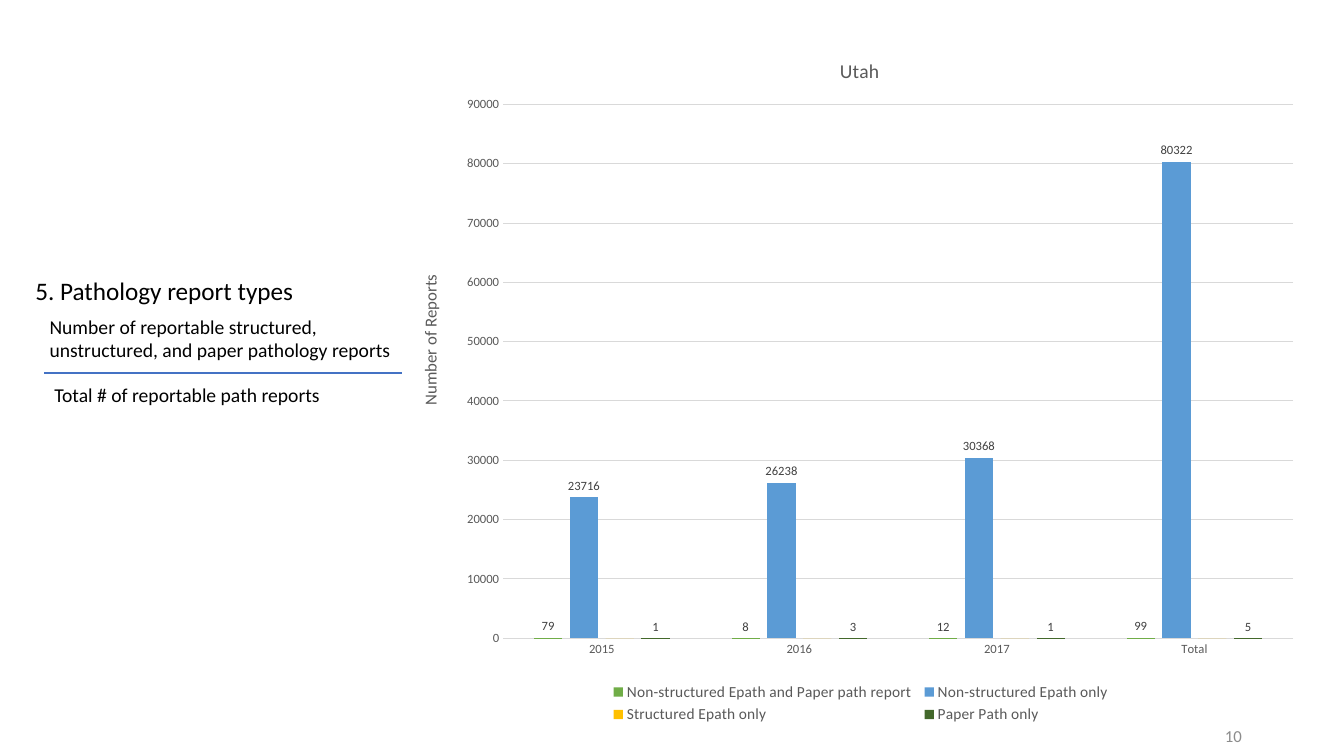
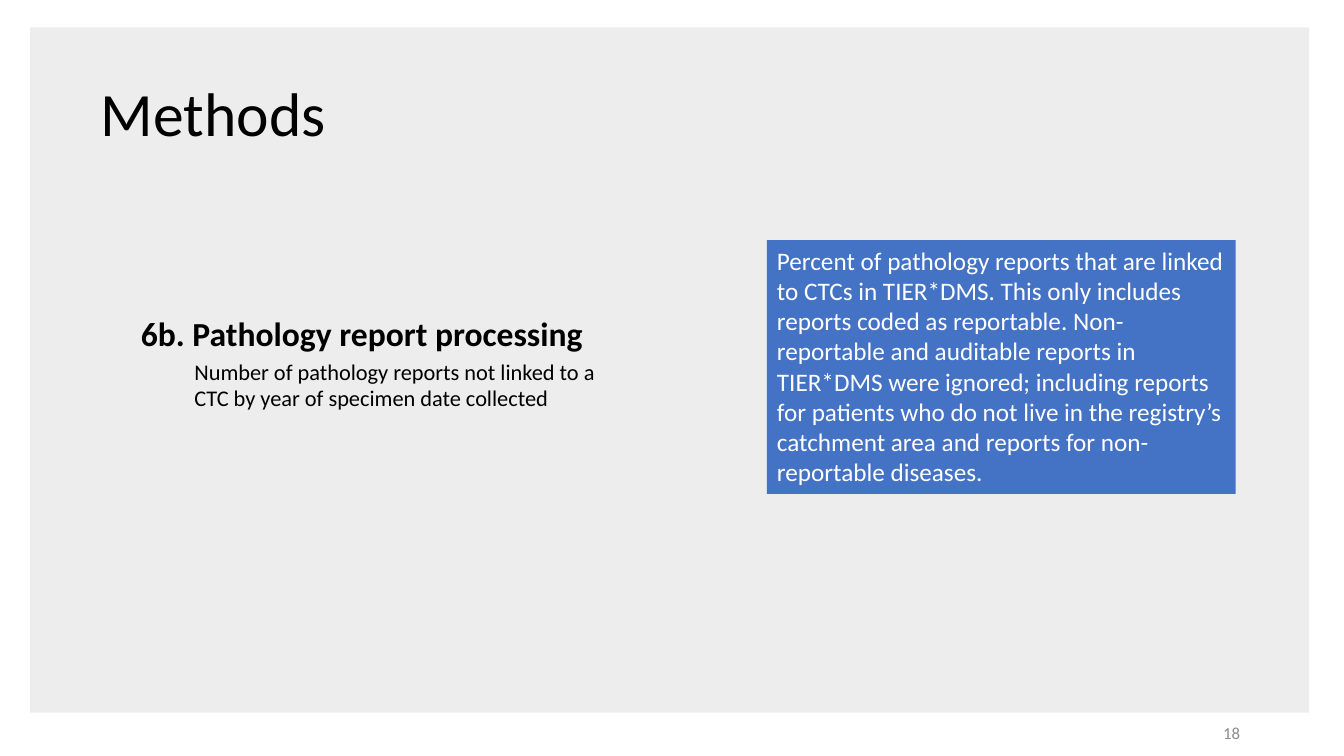
from dataclasses import dataclass

from pptx import Presentation
from pptx.chart.data import CategoryChartData
from pptx.dml.color import RGBColor
from pptx.enum.chart import (XL_CHART_TYPE, XL_LABEL_POSITION,
                             XL_LEGEND_POSITION, XL_TICK_MARK)
from pptx.enum.shapes import MSO_CONNECTOR, MSO_SHAPE
from pptx.enum.text import MSO_ANCHOR, PP_ALIGN
from pptx.oxml import parse_xml
from pptx.oxml.ns import nsdecls, qn
from pptx.oxml.xmlchemy import OxmlElement
from pptx.util import Cm, Pt

CLUSTERED = XL_CHART_TYPE.COLUMN_CLUSTERED
ABOVE_BAR = XL_LABEL_POSITION.OUTSIDE_END
AT_BOTTOM = XL_LEGEND_POSITION.BOTTOM
NO_TICK = XL_TICK_MARK.NONE
STRAIGHT = MSO_CONNECTOR.STRAIGHT
RECTANGLE = MSO_SHAPE.RECTANGLE
TOP, MIDDLE = MSO_ANCHOR.TOP, MSO_ANCHOR.MIDDLE
LEFT, RIGHT = PP_ALIGN.LEFT, PP_ALIGN.RIGHT


@dataclass(frozen=True)
class Theme:
    """Colours, type sizes and font shared by the slides."""
    font: str = "Calibri"
    ink: str = "000000"
    paper: str = "FFFFFF"
    panel: str = "EDEDED"
    accent: str = "4472C4"
    muted: str = "8C8C8C"
    axis_ink: str = "595959"
    label_ink: str = "404040"
    grid: str = "D9D9D9"
    title: int = 44
    topic: int = 24
    heading: int = 18
    detail: int = 16
    body: int = 14
    footer: int = 12
    legend: int = 11
    tick: int = 9


THEME = Theme()
NUMBER_FORMAT = "0"
YEARS = ("2015", "2016", "2017", "Total")
# name, colour, values, whether the values are labelled
REPORT_TYPES = (
    ("Non-structured Epath and Paper path report", "70AD47",
     (79, 8, 12, 99), True),
    ("Non-structured Epath only", "5B9BD5",
     (23716, 26238, 30368, 80322), True),
    ("Structured Epath only", "FFC000", (0, 0, 0, 0), False),
    ("Paper Path only", "43682B", (1, 3, 1, 5), True),
)
LINKAGE_NOTE = (
    "Percent of pathology reports that are linked to CTCs in TIER*DMS. "
    "This only includes reports coded as reportable. Non-reportable and "
    "auditable reports in TIER*DMS were ignored; including reports for "
    "patients who do not live in the registry\u2019s catchment area and "
    "reports for non-reportable diseases.")


def style_font(font, size, color, bold=False):
    """Give a font the theme face and the stated size, colour and weight."""
    for attribute, value in {"name": THEME.font, "size": Pt(size),
                             "bold": bold}.items():
        setattr(font, attribute, value)
    font.color.rgb = RGBColor.from_string(color)


def write(shape, text, size, color=THEME.ink, bold=False, anchor=TOP,
          align=LEFT, spacing=1.0):
    """Fill a shape with one wrapped paragraph."""
    frame = shape.text_frame
    frame.word_wrap = True
    frame.vertical_anchor = anchor
    paragraph = frame.paragraphs[0]
    paragraph.alignment = align
    paragraph.line_spacing = spacing
    run = paragraph.add_run()
    run.text = text
    style_font(run.font, size, color, bold)


def add_text(slide, box, text, size, **style):
    """Place a text box; box is left, top, width, height in cm."""
    write(slide.shapes.add_textbox(*map(Cm, box)), text, size, **style)


def add_block(slide, box, fill):
    """Place a flat, borderless rectangle."""
    block = slide.shapes.add_shape(RECTANGLE, *map(Cm, box))
    block.shadow.inherit = False
    block.fill.solid()
    block.fill.fore_color.rgb = RGBColor.from_string(fill)
    block.line.fill.background()
    return block


def add_rule(slide, left, top, width):
    """Draw the fraction line between numerator and denominator."""
    rule = slide.shapes.add_connector(
        STRAIGHT, Cm(left), Cm(top), Cm(left + width), Cm(top))
    rule.line.color.rgb = RGBColor.from_string(THEME.accent)
    rule.line.width = Pt(1.5)
    rule.element.spPr.append(OxmlElement("a:effectLst"))


def add_page_number(slide, number, left, top):
    """Place the page number at the lower right."""
    add_text(slide, (left, top, 7.62, 1.02), number, THEME.footer,
             color=THEME.muted, anchor=MIDDLE, align=RIGHT)


def place_part(part, after, **fractions):
    """Fix a chart part's place as fractions of the chart's size."""
    for old in part.findall(qn("c:layout")):
        part.remove(old)
    modes = "".join(f'<c:{axis}Mode val="edge"/>' for axis in "xy")
    sizes = "".join(f'<c:{key} val="{value}"/>'
                    for key, value in fractions.items())
    inner = "" if after else '<c:layoutTarget val="inner"/>'
    layout = parse_xml(f'<c:layout {nsdecls("c")}><c:manualLayout>{inner}'
                       f'{modes}{sizes}</c:manualLayout></c:layout>')
    if after:
        part.find(qn(after)).addnext(layout)
    else:
        part.insert(0, layout)


def title_part(part, text, size):
    """Write the title of a chart or an axis."""
    frame = part.text_frame
    frame.text = text
    style_font(frame.paragraphs[0].runs[0].font, size, THEME.axis_ink)


def style_axes(chart):
    """Format the category and value axes."""
    years, reports = chart.category_axis, chart.value_axis
    for axis in (years, reports):
        axis.major_tick_mark = axis.minor_tick_mark = NO_TICK
        style_font(axis.tick_labels.font, THEME.tick, THEME.axis_ink)
    for line in (years.format.line, reports.major_gridlines.format.line):
        line.color.rgb = RGBColor.from_string(THEME.grid)
        line.width = Pt(0.75)
    reports.format.line.fill.background()
    for attribute, value in {"minimum_scale": 0, "maximum_scale": 90000,
                             "major_unit": 10000}.items():
        setattr(reports, attribute, value)
    reports.tick_labels.number_format = NUMBER_FORMAT
    reports.tick_labels.number_format_is_linked = False
    title_part(reports.axis_title, "Number of Reports", THEME.footer)


def style_series(plot):
    """Colour the bars and label their values."""
    for attribute, value in {"gap_width": 219, "overlap": -27,
                             "vary_by_categories": False}.items():
        setattr(plot, attribute, value)
    for series, (_, color, _, labelled) in zip(plot.series, REPORT_TYPES):
        series.format.fill.solid()
        series.format.fill.fore_color.rgb = RGBColor.from_string(color)
        if labelled:
            labels = series.data_labels
            for attribute, value in {
                    "show_value": True, "position": ABOVE_BAR,
                    "number_format": NUMBER_FORMAT,
                    "number_format_is_linked": False}.items():
                setattr(labels, attribute, value)
            style_font(labels.font, THEME.tick, THEME.label_ink)


def add_report_chart(slide, box):
    """Place the column chart of report types by year."""
    data = CategoryChartData(number_format=NUMBER_FORMAT)
    data.categories = YEARS
    for name, _, values, _ in REPORT_TYPES:
        data.add_series(name, values)
    chart = slide.shapes.add_chart(CLUSTERED, *map(Cm, box), data).chart
    style_font(chart.font, 10, THEME.ink)
    title_part(chart.chart_title, "Utah", THEME.body)
    style_axes(chart)
    style_series(chart.plots[0])
    chart.has_legend = True
    chart.legend.position = AT_BOTTOM
    chart.legend.include_in_layout = False
    style_font(chart.legend.font, THEME.legend, THEME.axis_ink)
    for query, after, fractions in (
            ("//c:plotArea", None, dict(x=0.112, y=0.109, w=0.868, h=0.763)),
            ("//c:valAx/c:title", "c:tx", dict(x=0.016, y=0.348)),
            ("//c:chart/c:title", "c:tx", dict(x=0.478, y=0.037)),
            ("//c:legend", "c:legendPos",
             dict(x=0.225, y=0.93, w=0.56, h=0.07))):
        place_part(chart.element.xpath(query)[0], after, **fractions)


def add_ratio(slide, left, top):
    """Place the measure's heading above its numerator and denominator."""
    add_text(slide, (left, top, 8.13, 1.8), "5. Pathology report types",
             THEME.heading)
    add_text(slide, (left + 0.36, top + 0.99, 9.14, 1.45),
             "Number of reportable structured, unstructured, and paper "
             "pathology reports", THEME.body)
    add_rule(slide, left + 0.48, top + 2.6, 9)
    add_text(slide, (left + 0.48, top + 2.72, 7.65, 0.86),
             "Total # of reportable path reports", THEME.body)


def build_report_types(slide):
    """Build the slide with the ratio and its chart."""
    add_ratio(slide, 0.64, 6.81)
    add_report_chart(slide, (10.11, 0.71, 22.94, 17.63))
    add_page_number(slide, "10", 23.93, 18.03)


def build_methods(slide):
    """Build the slide with the method and its note on a grey panel."""
    left, top = 0.76, 0.69
    add_block(slide, (left, top, 32.23, 17.27), THEME.panel)
    add_text(slide, (left + 1.53, top + 0.4, 29.21, 3.68), "Methods",
             THEME.title, anchor=MIDDLE, spacing=0.9)
    add_text(slide, (left + 2.54, top + 7.06, 13.03, 2.31),
             "6b. Pathology report processing", THEME.topic, bold=True)
    add_text(slide, (left + 3.89, top + 8.2, 11.48, 1.63),
             "Number of pathology reports not linked to a CTC by year of "
             "specimen date collected", THEME.detail)
    note = add_block(slide, (left + 18.57, top + 5.36, 11.81, 6.4),
                     THEME.accent)
    write(note, LINKAGE_NOTE, THEME.heading, color=THEME.paper)
    add_page_number(slide, "18", 23.88, 17.96)


def main():
    """Build and save the deck."""
    deck = Presentation()
    deck.slide_width, deck.slide_height = Cm(33.87), Cm(19.05)
    blank = deck.slide_layouts[6]
    for build in (build_report_types, build_methods):
        build(deck.slides.add_slide(blank))
    deck.save("out.pptx")


main()
